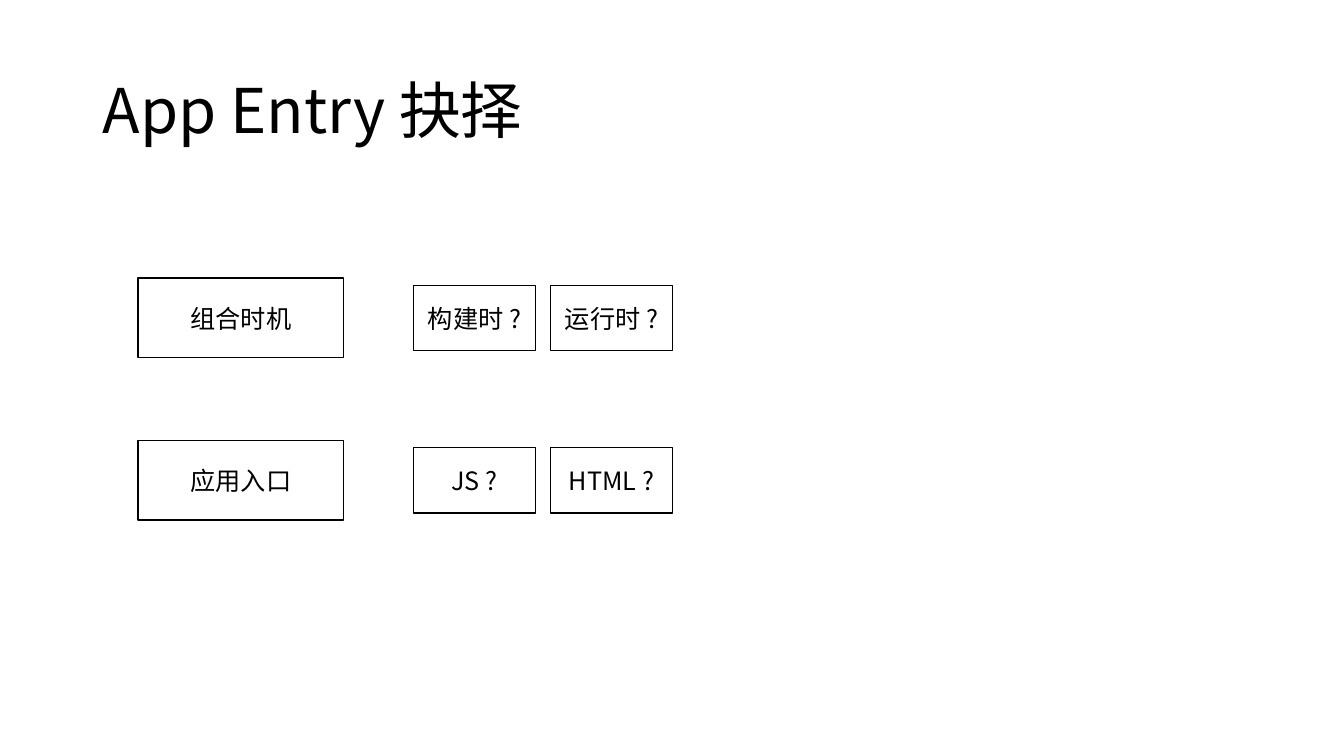
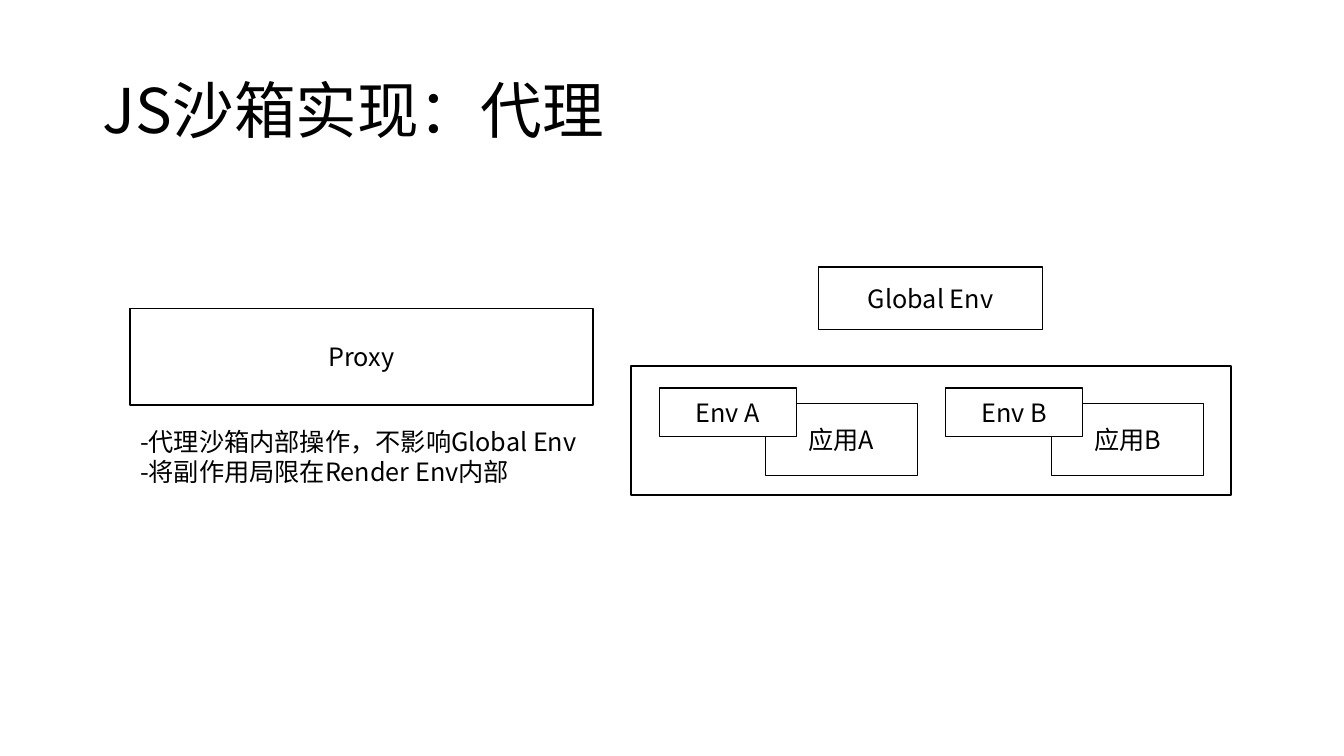
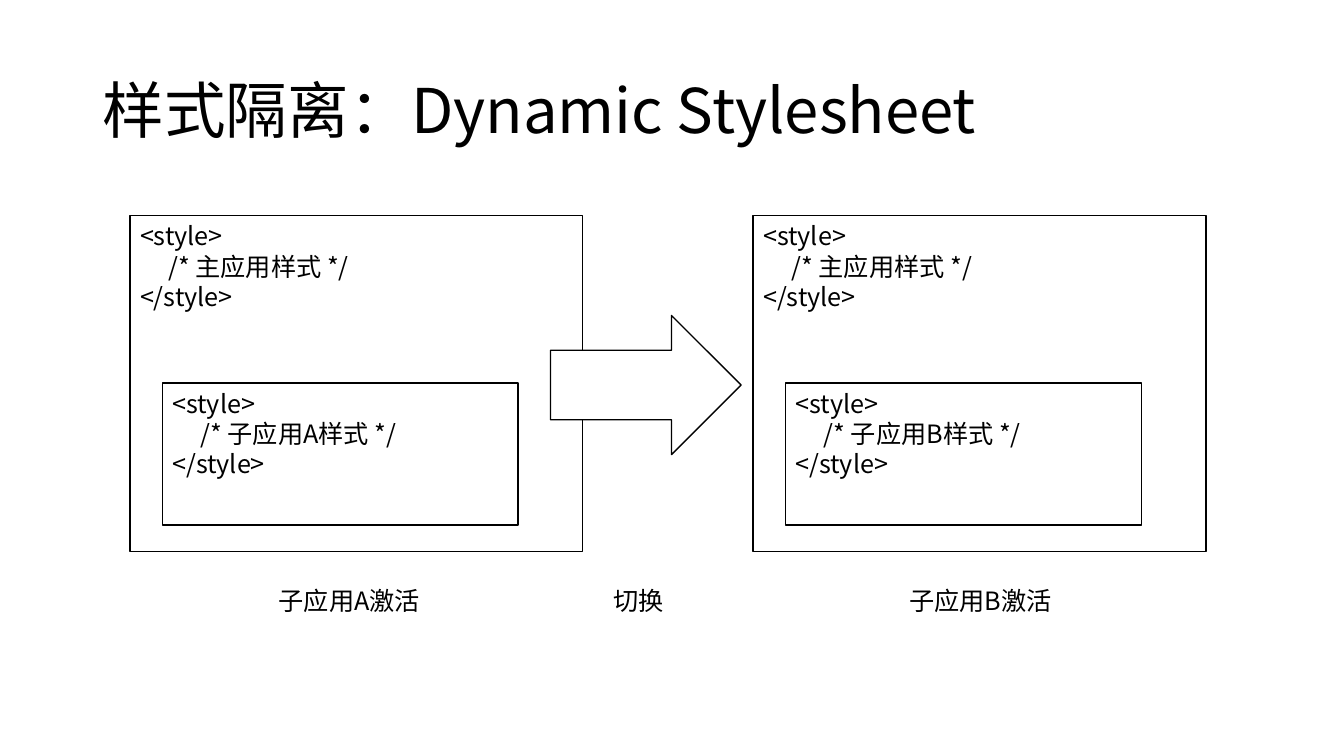
import pptx
import pptx.util
import pptx.dml.color
import pptx.enum.shapes
import pptx.enum.text
import pptx.oxml.ns
from lxml import etree

UNIT = 9144  # EMU in one px, at 100 px to the inch
FONT = "Noto Sans CJK SC"
HUES = {"ink": "000000", "paper": "FFFFFF"}

FORM = pptx.enum.shapes.MSO_SHAPE
ALIGN = pptx.enum.text.PP_ALIGN
ANCHOR = pptx.enum.text.MSO_ANCHOR


def px(*sizes):
    return [pptx.util.Emu(size * UNIT) for size in sizes]


def hue(name):
    return pptx.dml.color.RGBColor.from_string(HUES[name])


def write(shape, text, size=18, mid=True, align=ALIGN.CENTER, lead=None):
    """Fill a shape with text, one paragraph a line; mid centres it vertically."""
    frame = shape.text_frame
    frame.word_wrap = True
    frame.vertical_anchor = ANCHOR.MIDDLE if mid else ANCHOR.TOP
    frame.text = text
    for para in frame.paragraphs:
        para.alignment = align
        if lead:
            para.line_spacing = lead
        for run in para.runs:
            run.font.size = pptx.util.Pt(size)
            run.font.name = FONT
            run.font.color.rgb = hue("ink")
            east = etree.SubElement(run._r.get_or_add_rPr(), pptx.oxml.ns.qn("a:ea"))
            east.set("typeface", FONT)


def label(slide, box, text, **style):
    write(slide.shapes.add_textbox(*px(*box)), text, **style)


def frame(slide, box, text="", solid=False, form=FORM.RECTANGLE, **style):
    """Draw an outlined shape, white inside if solid, else clear."""
    shape = slide.shapes.add_shape(form, *px(*box))
    shape.shadow.inherit = False
    if solid:
        shape.fill.solid()
        shape.fill.fore_color.rgb = hue("paper")
    else:
        shape.fill.background()
    shape.line.color.rgb = hue("ink")
    shape.line.width = pptx.util.Pt(1)
    if text:
        write(shape, text, **style)


def page(deck, title):
    """Add a blank slide with the shared title."""
    slide = deck.slides.add_slide(deck.slide_layouts[6])
    label(slide, (92, 40, 1150, 145), title, size=44, align=ALIGN.LEFT, lead=0.9)
    return slide


def choice(slide, left, top, topic, picks):
    """Draw a topic with its options to the right, centred on the same line."""
    high, low, wide, gap = 79, 65, 121, 15
    frame(slide, (left, top, 204, high), topic)
    for i, pick in enumerate(picks):
        spot = left + 273 + i * (wide + gap)
        frame(slide, (spot, top + (high - low) // 2, wide, low), pick)


def entry(deck):
    slide = page(deck, "App Entry 抉择")
    rows = [("组合时机", ("构建时 ?", "运行时 ?")),
            ("应用入口", ("JS ?", "HTML ?"))]
    for i, (topic, picks) in enumerate(rows):
        choice(slide, 137, 276 + i * 161, topic, picks)


def host(slide, left, top):
    """Draw the panel of apps, each overlapped by its own environment."""
    frame(slide, (left, top, 595, 128))
    for i, name in enumerate("AB"):
        start = left + 28 + i * 284
        frame(slide, (start + 105, top + 37, 151, 72), f"应用{name}")
        frame(slide, (start, top + 22, 136, 48), f"Env {name}", solid=True)


def proxy(slide, left, top):
    """Draw the proxy box with its notes below."""
    wide = 459
    frame(slide, (left, top, wide, 96), "Proxy", solid=True)
    label(slide, (left, top + 112, wide, 212),
          "-代理沙箱内部操作，不影响Global Env\n-将副作用局限在Render Env内部",
          mid=False, align=ALIGN.LEFT)


def sandbox(deck):
    slide = page(deck, "JS沙箱实现：代理")
    frame(slide, (812, 265, 222, 62), "Global Env", solid=True)
    host(slide, 626, 363)
    proxy(slide, 129, 306)


def code(slide, box, note):
    frame(slide, box, f"<style>\n     /* {note} */\n</style>",
          mid=False, align=ALIGN.LEFT)


def state(slide, left, top, name):
    """Draw the main app's styles with those of the active child inside."""
    code(slide, (left, top, 449, 333), "主应用样式")
    code(slide, (left + 32, top + 166, 353, 141), f"子应用{name}样式")


def styles(deck):
    slide = page(deck, "样式隔离：Dynamic Stylesheet")
    for i, name in enumerate("AB"):
        state(slide, 129 + i * 618, 214, name)
    frame(slide, (546, 313, 189, 138), solid=True, form=FORM.RIGHT_ARROW)
    tags = [(178, 337, "子应用A激活"), (567, 133, "切换"), (804, 337, "子应用B激活")]
    for left, wide, text in tags:
        label(slide, (left, 561, wide, 69), text)


def main():
    deck = pptx.Presentation()
    deck.slide_width, deck.slide_height = px(1333, 750)
    for build in (entry, sandbox, styles):
        build(deck)
    deck.save("out.pptx")


if __name__ == "__main__":
    main()
